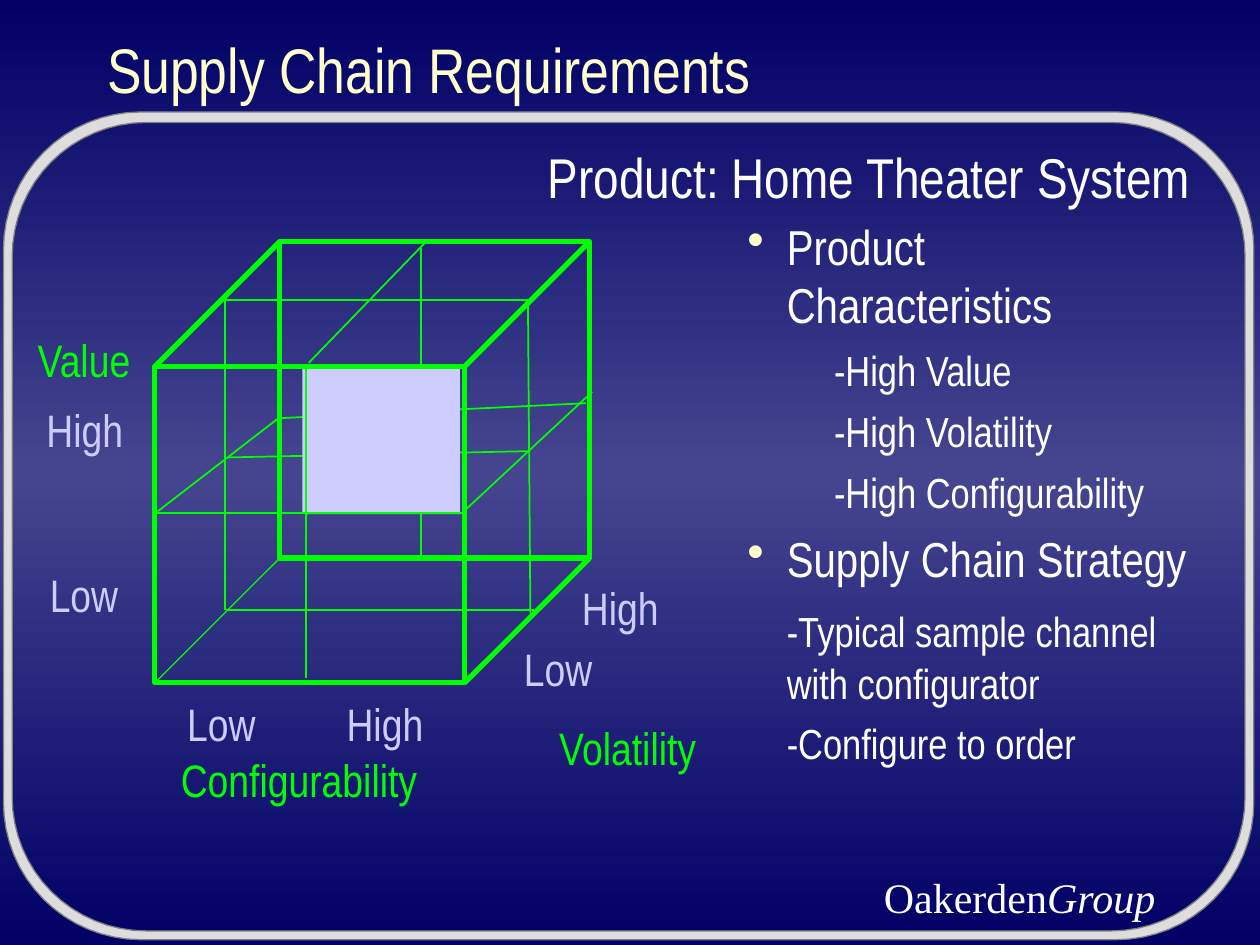
"""Build the supply chain requirements slide with its product cube."""
from copy import deepcopy
from math import cos, radians, sin

from lxml import etree
from pptx import Presentation
from pptx.dml.color import RGBColor
from pptx.enum.shapes import MSO_CONNECTOR, MSO_SHAPE
from pptx.enum.text import MSO_ANCHOR, MSO_AUTO_SIZE, PP_ALIGN
from pptx.oxml import parse_xml
from pptx.oxml.ns import qn
from pptx.util import Pt

LINE, RECT = MSO_CONNECTOR.STRAIGHT, MSO_SHAPE.RECTANGLE
LEFT, MID = PP_ALIGN.LEFT, PP_ALIGN.CENTER
CENTER, FIXED = MSO_ANCHOR.MIDDLE, MSO_AUTO_SIZE.NONE
NS = "http://schemas.openxmlformats.org/drawingml/2006/main"
GREEN, LILAC, WHITE, CREAM = "00FF00", "CCCCFF", "FFFFFF", "FFFFCC"
rgb = RGBColor.from_string


def write(para, text, size=24, color=WHITE, face="Arial Narrow", align=LEFT, italic=False):
    para.alignment = align
    run = para.add_run()
    run.text = text
    font = run.font
    font.size, font.name, font.italic = Pt(size), face, italic
    font.color.rgb = rgb(color)


def box(x, y, w, h, wrap=False):
    frame = slide.shapes.add_textbox(Pt(x), Pt(y), Pt(w), Pt(h)).text_frame
    frame.word_wrap = wrap
    return frame


prs = Presentation()
prs.slide_width, prs.slide_height = Pt(720), Pt(540)
slide = prs.slides.add_slide(prs.slide_layouts[5])

back = slide.background.fill
back.gradient()
back.gradient_angle = 270
stops = slide.element.xpath(".//a:gsLst")[0]
stops.insert(1, deepcopy(stops[0]))
for stop, (spot, color) in zip(back.gradient_stops, [(0, "000066"), (0.5, "45458F"), (1, "000066")]):
    stop.position, stop.color.rgb = spot, rgb(color)

rings = []
for x1, y1, x2, y2, r in [(2, 64, 716.5, 537, 78.5), (7, 70, 711.5, 532, 76.5)]:
    ring = []
    hubs = [(x2 - r, y1 + r), (x2 - r, y2 - r), (x1 + r, y2 - r), (x1 + r, y1 + r)]
    for turn, (cx, cy) in enumerate(hubs):
        for step in range(17):
            ang = radians(90 * (turn - 1 + step / 16))
            ring.append((Pt(cx + r * cos(ang)), Pt(cy + r * sin(ang))))
    rings.append(ring)
outer, inner = rings[0][::-1], rings[1]
path = slide.shapes.build_freeform(*outer[0])
path.add_line_segments(outer[1:])
path.move_to(*inner[0])
path.add_line_segments(inner[1:])
border = path.convert_to_shape()
border.shadow.inherit = False
border.fill.solid()
border.fill.fore_color.rgb = rgb("DDDDDD")
border.line.color.rgb = rgb("808080")
border.line.width = Pt(0.75)

brand = box(498, 494.5, 170, 36).paragraphs[0]
write(brand, "Oakerden", face="Times New Roman")
write(brand, "Group", face="Times New Roman", italic=True)

title = slide.shapes.title
title.left, title.top, title.width, title.height = Pt(54), Pt(-6), Pt(612), Pt(90)
frame = title.text_frame
frame.vertical_anchor, frame.auto_size = CENTER, FIXED
write(frame.paragraphs[0], "Supply Chain Requirements", 36, CREAM)
write(box(306, 78, 462, 54, True).paragraphs[0], "Product: Home Theater System", 32)

cube = [
    ("line", 334.8, 230.4, 159.1, 239, 1),
    ("line", 238.3, 237.6, 175, 293.8, 1.5),
    ("line", 303.1, 257.8, 130.3, 261.4, 1),
    ("line", 240.5, 319.7, 240.5, 141.8, 1),
    ("line", 305.3, 348.5, 128.9, 348.5, 1),
    ("rect", 159.8, 138.2, 177, 180.7, 3),
    ("fill", 172.8, 208.8, 90, 85, 0),
    ("line", 88.5, 209.5, 159.8, 138.2, 3),
    ("line", 88.5, 390.2, 159.8, 319, 0.75),
    ("line", 265.5, 390.2, 336.8, 319, 3),
    ("line", 265.5, 209.5, 336.8, 138.2, 3),
    ("rect", 88.5, 209.5, 177, 180.7, 3),
    ("line", 264.2, 293, 88.5, 293, 1),
    ("line", 302.4, 171.4, 126, 171.4, 1),
    ("line", 159.1, 239, 90, 292.3, 1),
    ("line", 338.4, 223.9, 264.2, 293, 1),
    ("line", 128.7, 348.5, 128.7, 170.6, 1),
    ("line", 303.1, 350.6, 301.7, 174.2, 1),
    ("line", 242.6, 139, 176.4, 207.4, 1),
    ("line", 174.7, 387.4, 174.7, 208, 1),
]
for kind, *spots, width in cube:
    spots = [Pt(spot) for spot in spots]
    if kind == "line":
        part = slide.shapes.add_connector(LINE, *spots)
        etree.SubElement(part.element.spPr, qn("a:effectLst"))
    else:
        part = slide.shapes.add_shape(RECT, *spots)
        part.shadow.inherit = False
        part.fill.background()
    if kind == "fill":
        part.fill.solid()
        part.fill.fore_color.rgb = rgb(LILAC)
        part.line.fill.background()
    else:
        part.line.color.rgb = rgb(GREEN)
        part.line.width = Pt(width)

for text, x, y, w, color in [
    ("Low", 98, 394, 57, LILAC),
    ("High", 189, 394, 62, LILAC),
    ("Low", 290.5, 363, 57, LILAC),
    ("High", 323.5, 328, 62, LILAC),
    ("High", 17.5, 226, 62, LILAC),
    ("Low", 19.5, 320.5, 57, LILAC),
    ("Value", 11.5, 186, 73, GREEN),
    ("Configurability", 94, 426, 154, GREEN),
    ("Volatility", 310, 408, 97.5, GREEN),
]:
    write(box(x, y, w, 39).paragraphs[0], text, 26, color, align=MID)

frame = box(420, 120, 270, 324, True)
for num, (text, size, left, gap, lead) in enumerate([
    ("Product Characteristics", 28, 22.5, 0, 0),
    ("-High Value", 24, 49.5, 6, 0),
    ("-High Volatility", 24, 49.5, 6, 0),
    ("-High Configurability", 24, 49.5, 6, 0),
    ("Supply Chain Strategy", 28, 22.5, 7, 0),
    ("-Typical sample channel with configurator", 24, 22.5, 6, 28),
    ("-Configure to order", 24, 22.5, 6, 24),
]):
    para = frame.add_paragraph() if num else frame.paragraphs[0]
    props = para._p.get_or_add_pPr()
    props.set("marL", str(Pt(left)))
    if size == 28 or lead:
        props.set("indent", str(-Pt(left)))
    if size == 28:
        for mark in (
            f'<a:buClr xmlns:a="{NS}"><a:srgbClr val="{CREAM}"/></a:buClr>',
            f'<a:buChar xmlns:a="{NS}" char="•"/>',
        ):
            props.append(parse_xml(mark))
    para.space_before = Pt(gap)
    if lead:
        write(para, "\t", lead)
    write(para, text, size)

prs.save("out.pptx")
